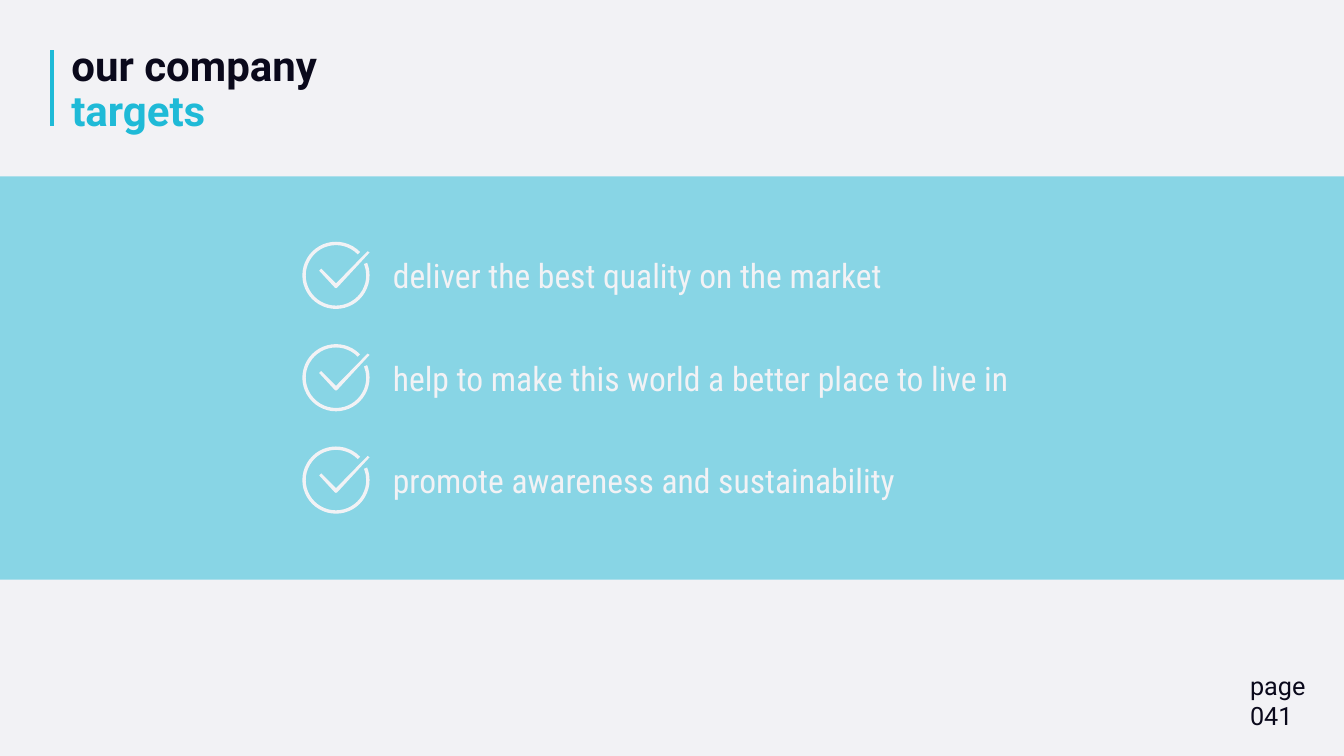
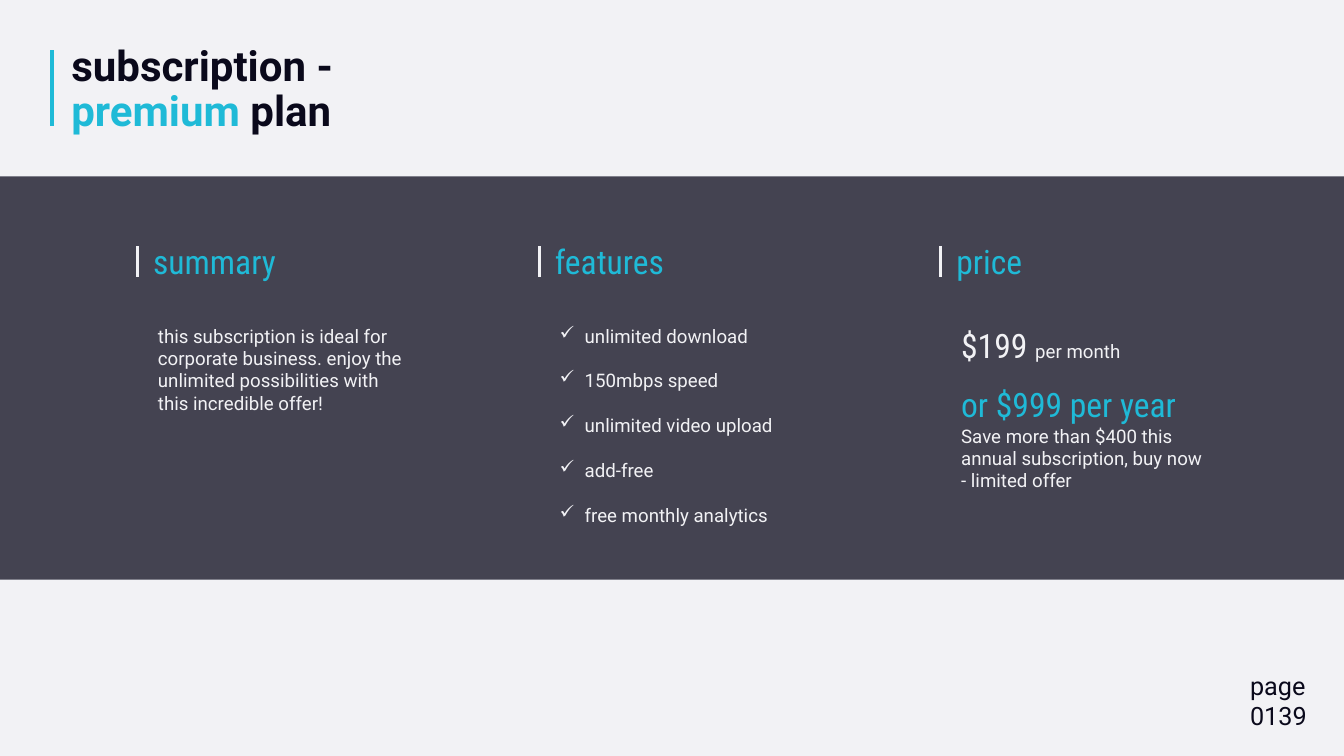
from lxml.etree import SubElement
from pptx import Presentation
from pptx.dml.color import RGBColor as RGB
from pptx.enum.shapes import MSO_CONNECTOR as CONN, MSO_SHAPE as SHAPE
from pptx.enum.text import MSO_ANCHOR as ANCHOR, MSO_AUTO_SIZE as AUTO, PP_ALIGN as ALIGN
from pptx.oxml.ns import qn
from pptx.util import Cm, Pt

COLORS = {"paper": "F2F2F5", "ink": "0A091B", "accent": "1FBAD7"}
TITLE = (45, "Roboto")
PAGE = (27, "Roboto")
LARGE = (36, "Roboto Condensed")
BODY = (20, "Roboto")

SLIDE_W, SLIDE_H = 50.8, 28.58
ICON = 2.54
TICK = [(50, 62), (28, 40), (25, 43), (48, 68), (50, 69), (52, 68), (100, 16), (97, 14)]
RING_START, RING_END, RING_WIDTH = 338, 316, 0.05

TARGETS = [
    "deliver the best quality on the market",
    "help to make this world a better place to live in",
    "promote awareness and sustainability",
]
FEATURES = ["unlimited download", "150mbps speed", "unlimited video upload",
            "add-free", "free monthly analytics"]
SUMMARY = ("this subscription is ideal for corporate business. enjoy the "
           "unlimited possibilities with this incredible offer!")
OFFER = "Save more than $400 this annual subscription, buy now - limited offer"


def rgb(name):
    return RGB.from_string(COLORS[name])


def add_run(p, text, style, color, bold=False):
    r = p.add_run()
    r.text = text
    size, r.font.name = style
    r.font.size = Pt(size)
    r.font.bold = bold
    r.font.color.rgb = rgb(color)


def add_bullet(p, color):
    pPr = p._p.get_or_add_pPr()
    pPr.set("marL", str(Cm(0.95)))
    pPr.set("indent", str(-Cm(0.95)))
    clr = SubElement(pPr, qn("a:buClr"))
    SubElement(clr, qn("a:srgbClr"), val=COLORS[color])
    SubElement(pPr, qn("a:buChar"), char="✓")


def add_text(shapes, x, y, w, h, paragraphs, grow=True, bullets=False, gap=0):
    tf = shapes.add_textbox(Cm(x), Cm(y), Cm(w), Cm(h)).text_frame
    tf.word_wrap = True
    tf.auto_size = AUTO.SHAPE_TO_FIT_TEXT if grow else AUTO.NONE
    for i, runs in enumerate(paragraphs):
        p = tf.add_paragraph() if i else tf.paragraphs[0]
        if bullets:
            add_bullet(p, "paper")
        if i and gap:
            p.space_before = Pt(gap)
        for run in runs:
            add_run(p, *run)


def add_bar(shapes, x, top, bottom, color, width):
    bar = shapes.add_connector(CONN.STRAIGHT, Cm(x), Cm(top), Cm(x), Cm(bottom))
    bar.line.color.rgb = rgb(color)
    bar.line.width = Pt(width)
    SubElement(bar._element.spPr, qn("a:effectLst"))


def paint(sp, color):
    sp.shadow.inherit = False
    sp.fill.solid()
    sp.fill.fore_color.rgb = rgb(color)
    sp.line.fill.background()


def add_band(s, color, opacity):
    sp = s.shapes.add_shape(SHAPE.RECTANGLE, 0, Cm(6.67), Cm(SLIDE_W), Cm(15.24))
    paint(sp, color)
    clr = sp._element.spPr.find(qn("a:solidFill"))[0]
    SubElement(clr, qn("a:alpha"), val=str(opacity * 1000))


def add_check(shapes, x, y):
    ring = shapes.add_shape(SHAPE.BLOCK_ARC, Cm(x), Cm(y), Cm(ICON), Cm(ICON))
    ring.adjustments[0] = RING_START * 0.6
    ring.adjustments[1] = RING_END * 0.6
    ring.adjustments[2] = RING_WIDTH
    paint(ring, "paper")
    fb = shapes.build_freeform(*TICK[0], scale=Cm(ICON) / 100)
    fb.add_line_segments(TICK[1:])
    paint(fb.convert_to_shape(Cm(x), Cm(y)), "paper")


def add_title(s, lines):
    sp = s.shapes.title
    sp.left, sp.top, sp.width, sp.height = Cm(2.44), Cm(1.57), Cm(15.14), Cm(3.71)
    tf = sp.text_frame
    tf.word_wrap = True
    tf.auto_size = AUTO.SHAPE_TO_FIT_TEXT
    tf.vertical_anchor = ANCHOR.MIDDLE
    p = tf.paragraphs[0]
    p.alignment = ALIGN.LEFT
    p.line_spacing = 0.9
    for i, runs in enumerate(lines):
        if i:
            p.add_line_break()
        for text, color in runs:
            add_run(p, text, TITLE, color, bold=True)


def add_slide(prs, title, page, band, opacity):
    s = prs.slides.add_slide(prs.slide_layouts[5])
    add_bar(s.shapes, 1.96, 1.9, 4.77, "accent", 5)
    add_title(s, title)
    add_text(s.shapes, 47, 25.2, 4.83, 2.64,
             [[(text, PAGE, "ink")] for text in ("page", page)], grow=False)
    add_band(s, band, opacity)
    return s


def add_target(s, y, text):
    shapes = s.shapes.add_group_shape().shapes
    add_check(shapes, 11.43, y)
    add_text(shapes, 14.6, y + 0.38, 25.6, 1.8, [[(text, LARGE, "paper")]])


def add_column(s, x, heading, paragraphs, height, **options):
    shapes = s.shapes.add_group_shape().shapes
    add_text(shapes, x + 0.34, 9, 9.78, 1.8, [[(heading, LARGE, "accent")]])
    add_bar(shapes, x, 9.31, 10.46, "paper", 3)
    add_text(shapes, x + 0.52, 12.14, 9.8, height, paragraphs, **options)


def build_targets(prs):
    s = add_slide(prs, [[("our company", "ink")], [("targets", "accent")]],
                  "041", "accent", 50)
    for i, text in enumerate(TARGETS):
        add_target(s, 9.14 + 3.87 * i, text)


def build_premium_plan(prs):
    s = add_slide(prs, [[("subscription -", "ink")],
                        [("premium", "accent"), (" plan", "ink")]],
                  "0139", "ink", 75)
    summary_x, features_x, price_x = (5.2 + 15.18 * i for i in range(3))
    add_column(s, summary_x, "summary", [[(SUMMARY, BODY, "paper")]], 4.52)
    add_column(s, features_x, "features", [[(text, BODY, "paper")] for text in FEATURES],
               8.81, bullets=True, gap=24)
    add_column(s, price_x, "price",
               [[("$199 ", LARGE, "paper"), ("per month", BODY, "paper")]], 1.8)
    add_text(s.shapes, price_x + 0.52, 14.4, 9.78, 4.37,
             [[("or $999 per year ", LARGE, "accent"), (OFFER, BODY, "paper")]])


def main():
    prs = Presentation()
    prs.slide_width, prs.slide_height = Cm(SLIDE_W), Cm(SLIDE_H)
    fill = prs.slide_master.background.fill
    fill.solid()
    fill.fore_color.rgb = rgb("paper")
    build_targets(prs)
    build_premium_plan(prs)
    prs.save("out.pptx")


if __name__ == "__main__":
    main()
